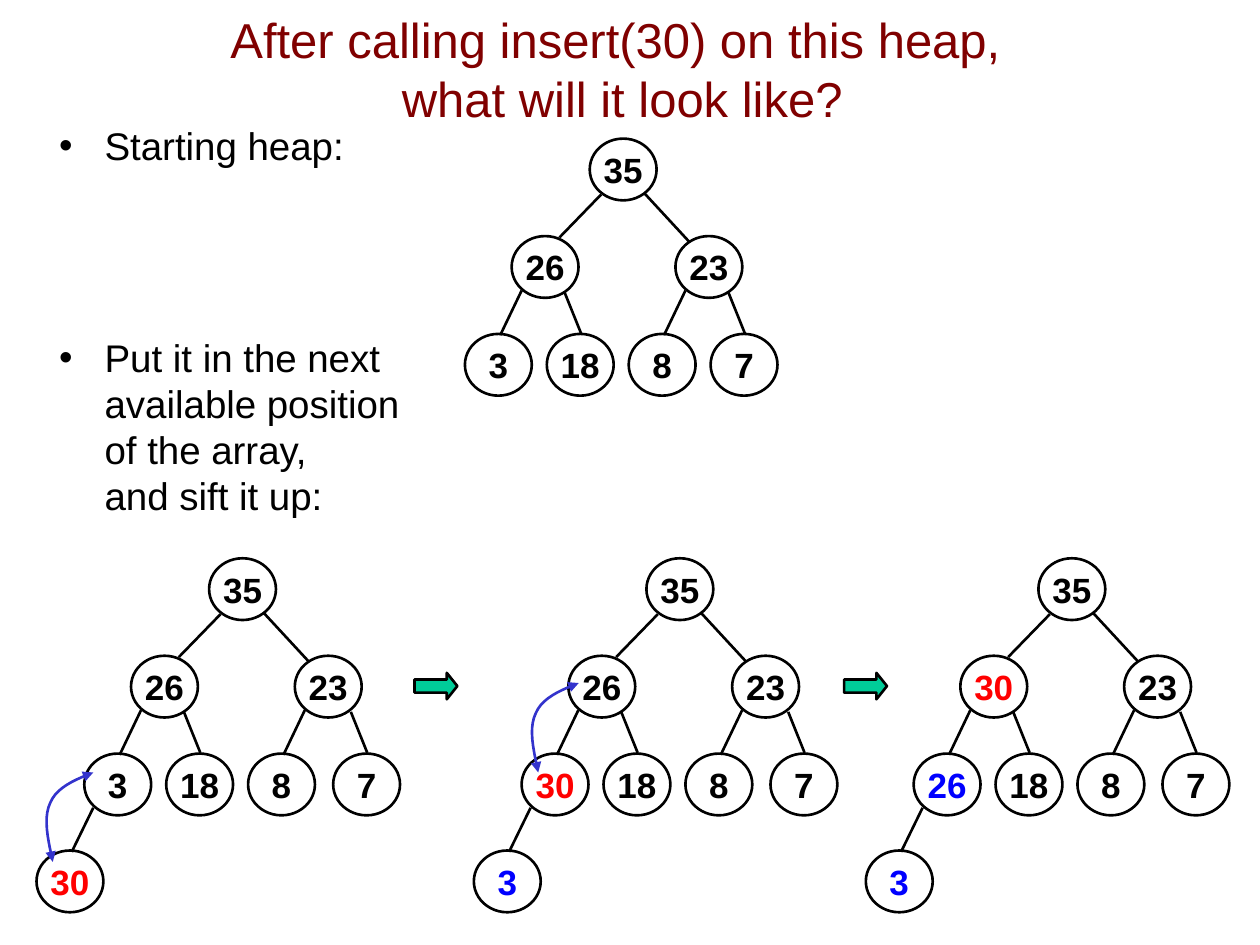
from pptx import Presentation, util as u
from pptx.dml.color import RGBColor
from pptx.enum import shapes, text
from pptx.oxml.ns import qn
from lxml import etree

Pt = u.Pt
COLORS = {"title": "800000", "black": "000000", "red": "FF0000",
          "blue": "0000FF", "arrow": "00CC99", "curve": "3333CC"}
rgb = {k: RGBColor.from_string(v) for k, v in COLORS.items()}

prs = Presentation()
prs.slide_width, prs.slide_height = Pt(720), Pt(540)
s = prs.slides.add_slide(prs.slide_layouts[1])
title, body = s.placeholders


def write(p, lines, color, **fmt):
    for i, line in enumerate(lines):
        if i:
            p.add_line_break()
        r = p.add_run()
        r.text = line
        r.font.color.rgb = rgb[color]
        for k, v in {"name": "Arial", **fmt}.items():
            setattr(r.font, k, v)


def outline(sp, color="black"):
    sp.line.color.rgb = rgb[color]
    sp.line.width = Pt(1.5)
    if sp.shape_type == shapes.MSO_SHAPE_TYPE.LINE:
        etree.SubElement(sp._element.spPr, qn("a:effectLst"))
    else:
        sp.shadow.inherit = False


for sp, box in ((title, (46, 5.8, 619, 67)), (body, (26.6, 66.2, 693, 442))):
    sp.left, sp.top, sp.width, sp.height = map(Pt, box)
    sp.text_frame.auto_size = text.MSO_AUTO_SIZE.NONE

write(title.text_frame.paragraphs[0],
      ["After calling insert(30) on this heap, ", "what will it look like?"],
      "title", size=Pt(28))

tf = body.text_frame
items = [(14, ["Starting heap:"]),
         (94.6, ["Put it in the next", "available position",
                 "of the array,", "and sift it up:"])]
for i, (before, lines) in enumerate(items):
    p = tf.add_paragraph() if i else tf.paragraphs[0]
    p.space_before = Pt(before)
    pPr = p._p.get_or_add_pPr()
    pPr.set("marL", str(Pt(26)))
    pPr.set("indent", str(Pt(-26)))
    write(p, lines, "black", size=Pt(22))

NODES = [(0, 0), (-44.6, 55.7), (49, 55.7), (-71.3, 111.6), (-24.5, 111.6),
         (22.3, 111.6), (69.1, 111.6), (-98.6, 167)]
EDGES = [(6.5, 32, -17.3, 56.5), (31, 31, 56.9, 59),
         (-38.9, 86.8, -51.1, 112.3), (-14.4, 87.8, -5, 111.2),
         (54.7, 86.8, 42.5, 112.3), (79.2, 87.8, 88.6, 111.2),
         (-66.2, 142.6, -78.5, 167.8)]
HEAPS = [(337, 79.2, 0, [35, 26, 23, 3, 18, 8, 7], {}),
         (119.5, 319, 1.8, [35, 26, 23, 3, 18, 8, 7, 30], {7: "red"}),
         (369.4, 319, 1.8, [35, 26, 23, 30, 18, 8, 7, 3], {3: "red", 7: "blue"}),
         (593.4, 319, 1.8, [35, 30, 23, 26, 18, 8, 7, 3],
          {1: "red", 3: "blue", 7: "blue"})]

for x, y, shift, values, marked in HEAPS:
    for i, (value, (dx, dy)) in enumerate(zip(values, NODES)):
        dx += shift if i == 6 else 0
        sp = s.shapes.add_shape(shapes.MSO_SHAPE.OVAL, Pt(x + dx), Pt(y + dy),
                                Pt(38.2), Pt(35.3))
        sp.fill.background()
        outline(sp)
        tf = sp.text_frame
        fmt = {"margin_left": 0, "margin_right": 0, "margin_top": 0,
               "margin_bottom": 0, "word_wrap": False,
               "vertical_anchor": text.MSO_ANCHOR.MIDDLE}
        for k, v in fmt.items():
            setattr(tf, k, v)
        p = tf.paragraphs[0]
        p.alignment = text.PP_ALIGN.CENTER
        write(p, [str(value)], marked.get(i, "black"), size=Pt(20), bold=True)
    for i, (x1, y1, x2, y2) in enumerate(EDGES[:len(values) - 1]):
        dx = x + (shift if i == 5 else 0)
        outline(s.shapes.add_connector(
            shapes.MSO_CONNECTOR.STRAIGHT,
            Pt(dx + x1), Pt(y + y1), Pt(dx + x2), Pt(y + y2)))

for x in (236.9, 482.4):
    sp = s.shapes.add_shape(shapes.MSO_SHAPE.RIGHT_ARROW,
                            Pt(x), Pt(384.5), Pt(24.5), Pt(15.1))
    sp.adjustments[0], sp.adjustments[1] = 0.5, 0.4
    sp.fill.solid()
    sp.fill.fore_color.rgb = rgb["arrow"]
    outline(sp)

BEZIERS = [((30.2, 492.5), (27.4, 479.5), (24.5, 467.3), (28.8, 458.6)),
           ((28.8, 458.6), (32.4, 450), (42.5, 445.7), (53.3, 441.4))]
STEPS = 10
for dx, dy in ((0, 0), (277.4, -51.1)):
    points = [(Pt(30.2 + dx), Pt(492.5 + dy))]
    for curve in BEZIERS:
        for n in range(1, STEPS + 1):
            t = n / STEPS
            weights = ((1 - t) ** 3, 3 * t * (1 - t) ** 2,
                       3 * t * t * (1 - t), t ** 3)
            px, py = (sum(w * c for w, c in zip(weights, axis))
                      for axis in zip(*curve))
            points.append((Pt(px + dx), Pt(py + dy)))
    fb = s.shapes.build_freeform(*points[0])
    fb.add_line_segments(points[1:], close=False)
    sp = fb.convert_to_shape()
    sp.fill.background()
    outline(sp, "curve")
    ln = sp.line._get_or_add_ln()
    for end in ("a:headEnd", "a:tailEnd"):
        etree.SubElement(ln, qn(end), type="triangle")

prs.save("out.pptx")
